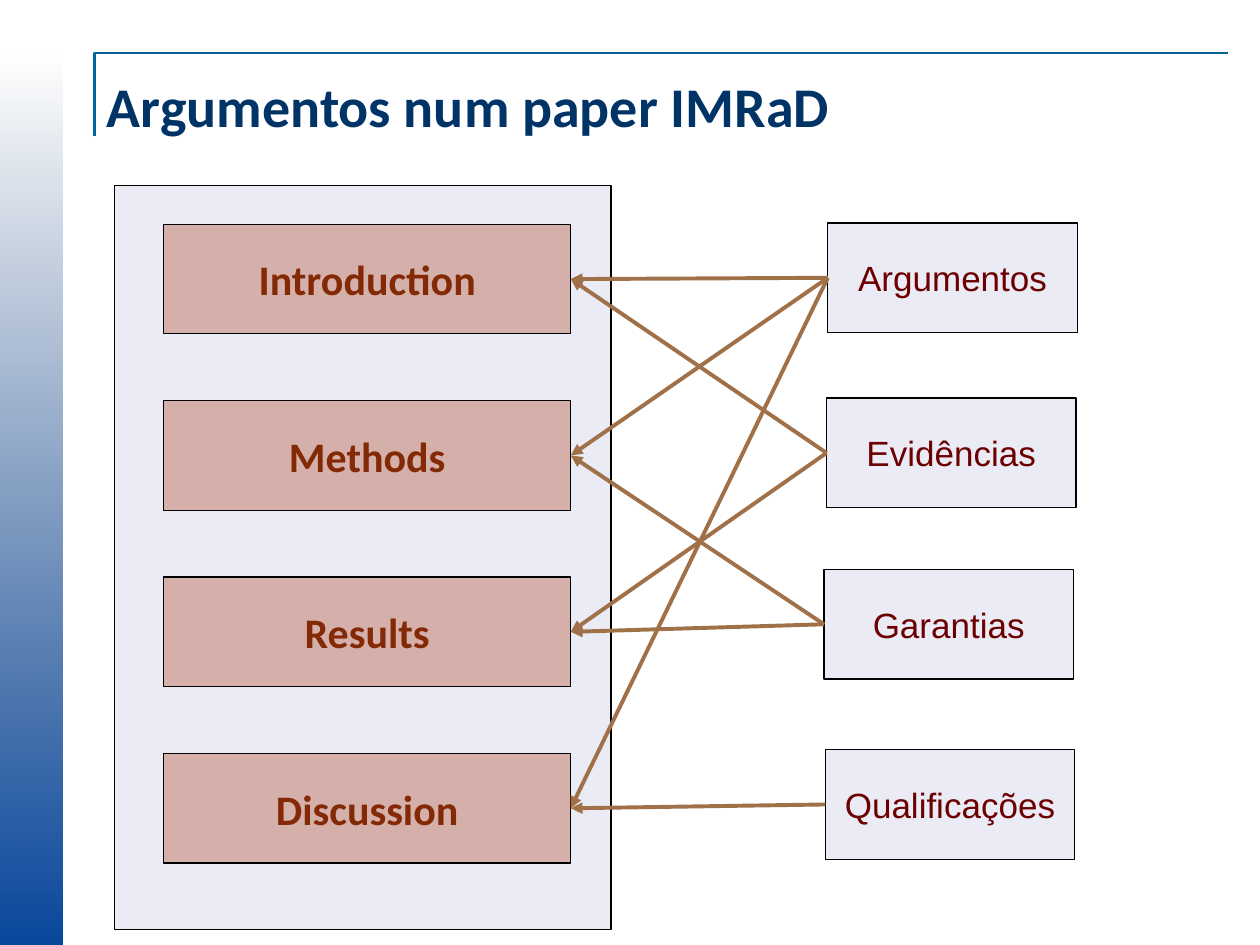
from pptx import Presentation
from pptx.dml.color import RGBColor
from pptx.enum.shapes import MSO_CONNECTOR, MSO_SHAPE
from pptx.enum.text import MSO_ANCHOR, PP_ALIGN
from pptx.oxml.ns import qn
from pptx.util import Inches, Pt
from lxml.etree import SubElement

BLACK = RGBColor(0x00, 0x00, 0x00)
BAR_BLUE = RGBColor(0x08, 0x47, 0x9C)
BAR_FADE = RGBColor(0x06, 0x33, 0x70)
RULE_BLUE = RGBColor(0x00, 0x66, 0x99)
TITLE_BLUE = RGBColor(0x00, 0x33, 0x66)
LAVENDER = RGBColor(0xEB, 0xEB, 0xF5)
ROSE = RGBColor(0xD5, 0xB0, 0xAA)
RUST = RGBColor(0x83, 0x29, 0x05)
MAROON = RGBColor(0x6C, 0x00, 0x00)
ARROW_BROWN = RGBColor(0xA0, 0x71, 0x49)

LEFT_SIDE, RIGHT_SIDE = 1, 3
BOX_HEIGHT = 0.87
SECTION_TOP, SECTION_STEP = 1.78, 1.4

# Each element of the argument: left, top and the sections it supports
ELEMENTS = {
    "Argumentos": (6.57, 1.77, ("Introduction", "Methods", "Discussion")),
    "Evidências": (6.56, 3.16, ("Results", "Introduction")),
    "Garantias": (6.54, 4.52, ("Results", "Methods")),
    "Qualificações": (6.55, 5.95, ("Discussion",)),
}
SECTIONS = ("Introduction", "Methods", "Results", "Discussion")


def set_font(paragraph, name, size, color, bold=False):
    font = paragraph.font
    font.name, font.size, font.bold = name, Pt(size), bold
    font.color.rgb = color


def add_box(slide, left, top, width, height, fill):
    box = slide.shapes.add_shape(MSO_SHAPE.RECTANGLE, Inches(left), Inches(top),
                                 Inches(width), Inches(height))
    box.shadow.inherit = False
    box.fill.solid()
    box.fill.fore_color.rgb = fill
    box.line.color.rgb = BLACK
    box.line.width = Pt(0.75)
    return box


def add_label(box, text, *font):
    frame = box.text_frame
    frame.word_wrap = False
    frame.vertical_anchor = MSO_ANCHOR.MIDDLE
    paragraph = frame.paragraphs[0]
    paragraph.text = text
    paragraph.alignment = PP_ALIGN.CENTER
    set_font(paragraph, *font)


def add_side_bar(slide):
    """Bar that fades from blue at the bottom to transparent at the top."""
    bar = slide.shapes.add_shape(MSO_SHAPE.RECTANGLE, 0, Inches(0.42),
                                 Inches(0.5), Inches(7.08))
    bar.shadow.inherit = False
    bar.line.fill.background()
    bar.fill.gradient()
    bar.fill.gradient_angle = 90
    for stop, color in zip(bar.fill.gradient_stops, (BAR_BLUE, BAR_FADE)):
        stop.color.rgb = color
    faded = bar.fill._fill._gradFill.findall(".//" + qn("a:srgbClr"))[-1]
    SubElement(faded, qn("a:alpha"), val="0")


def add_title(slide, text):
    corner = slide.shapes.build_freeform(Inches(0.75), Inches(1.08))
    corner.add_line_segments([(Inches(0.75), Inches(0.42)),
                              (Inches(9.75), Inches(0.42))], close=False)
    rule = corner.convert_to_shape()
    rule.shadow.inherit = False
    rule.fill.background()
    rule.line.color.rgb = RULE_BLUE
    rule.line.width = Pt(1.5)

    title = slide.shapes.add_textbox(Inches(0.75), Inches(0.42),
                                     Inches(8.92), Inches(0.83))
    frame = title.text_frame
    frame.word_wrap = True
    frame.vertical_anchor = MSO_ANCHOR.MIDDLE
    frame.paragraphs[0].text = text
    set_font(frame.paragraphs[0], "Calibri", 32, TITLE_BLUE, True)


def add_arrow(slide, element, section):
    arrow = slide.shapes.add_connector(MSO_CONNECTOR.STRAIGHT, 0, 0, 0, 0)
    arrow.begin_connect(element, LEFT_SIDE)
    arrow.end_connect(section, RIGHT_SIDE)
    arrow.line.color.rgb = ARROW_BROWN
    arrow.line.width = Pt(2.25)
    SubElement(arrow.line._get_or_add_ln(), qn("a:tailEnd"), type="triangle")
    SubElement(arrow._element.spPr, qn("a:effectLst"))


def main():
    prs = Presentation()
    prs.slide_width, prs.slide_height = Inches(10), Inches(7.5)
    slide = prs.slides.add_slide(prs.slide_layouts[6])

    add_side_bar(slide)
    add_title(slide, "Argumentos num paper IMRaD")
    add_box(slide, 0.91, 1.47, 3.94, 5.91, LAVENDER)

    section_boxes = {}
    for row, name in enumerate(SECTIONS):
        top = SECTION_TOP + row * SECTION_STEP
        box = add_box(slide, 1.3, top, 3.23, BOX_HEIGHT, ROSE)
        add_label(box, name, "Calibri", 24, RUST, True)
        section_boxes[name] = box

    for name, (left, top, supported) in ELEMENTS.items():
        box = add_box(slide, left, top, 1.98, BOX_HEIGHT, LAVENDER)
        add_label(box, name, "Arial", 20, MAROON)
        for section in supported:
            add_arrow(slide, box, section_boxes[section])

    prs.save("out.pptx")


if __name__ == "__main__":
    main()
